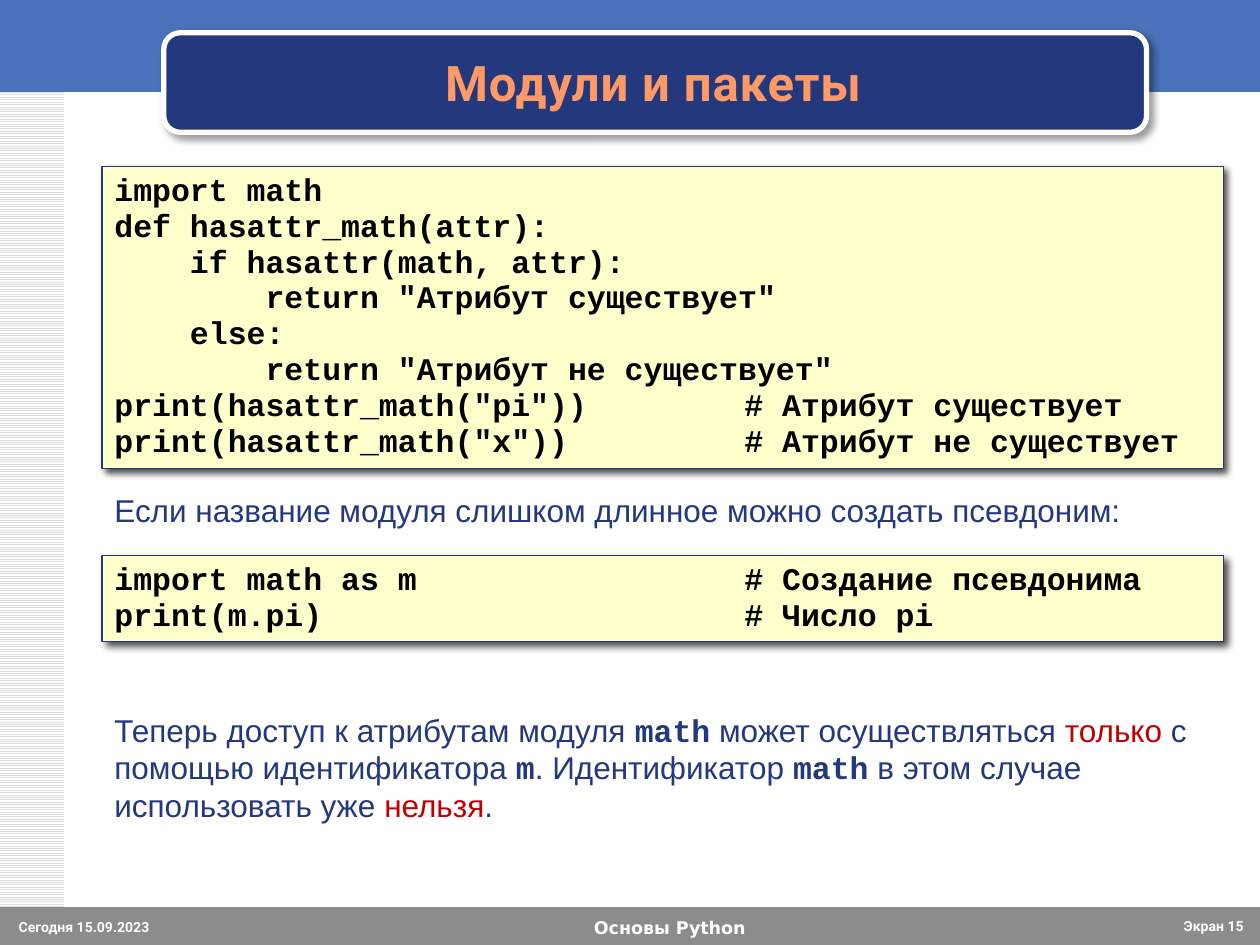
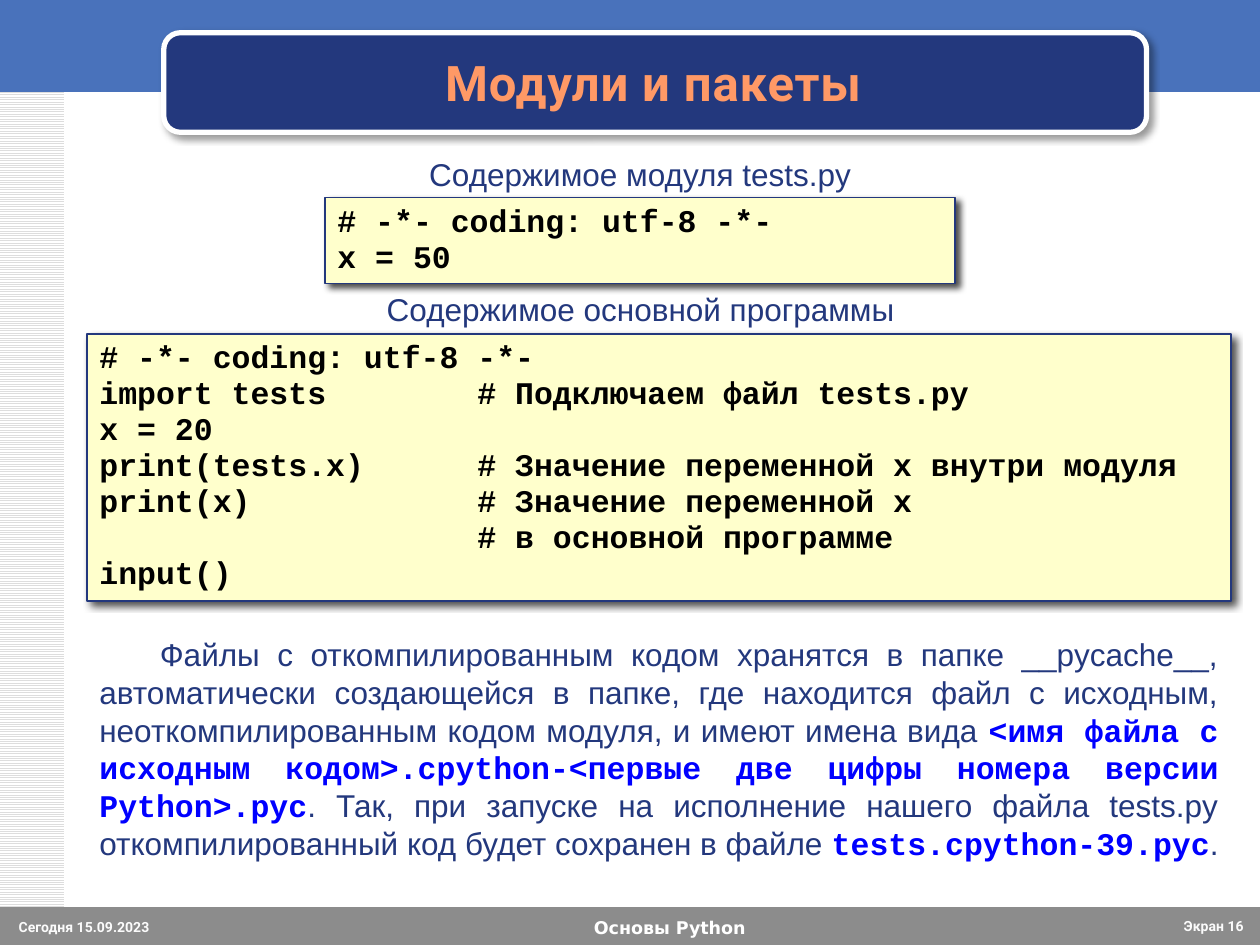
"""Build two lesson slides about Python modules and packages."""
import lxml.etree
import pptx
import pptx.dml.color
import pptx.enum.dml
import pptx.enum.shapes
import pptx.enum.text
import pptx.oxml.ns
import pptx.util

Inches = pptx.util.Inches
Pt = pptx.util.Pt
RGBColor = pptx.dml.color.RGBColor
Shape = pptx.enum.shapes.MSO_SHAPE
Align = pptx.enum.text.PP_ALIGN
Anchor = pptx.enum.text.MSO_ANCHOR
AutoSize = pptx.enum.text.MSO_AUTO_SIZE
qn = pptx.oxml.ns.qn

WHITE = RGBColor(0xFF, 0xFF, 0xFF)
FOOTER_TEXT = RGBColor(0xFB, 0xFB, 0xFB)
BLACK = RGBColor(0x00, 0x00, 0x00)
NAVY = RGBColor(0x23, 0x38, 0x7D)
BLUE = RGBColor(0x49, 0x72, 0xBB)
GRAY = RGBColor(0x8C, 0x8C, 0x8C)
STRIPE = RGBColor(0xDD, 0xDD, 0xDD)
ORANGE = RGBColor(0xFF, 0x99, 0x66)
CREAM = RGBColor(0xFF, 0xFF, 0xCC)
RED = RGBColor(0xC0, 0x00, 0x00)
BRIGHT_BLUE = RGBColor(0x00, 0x00, 0xFF)

BODY_FONT = "Arial"
CODE_FONT = "Courier New"
HEADING_FONT = "Roboto"
FOOTER_FONT = "DejaVu Sans"

PLAIN = (BODY_FONT, NAVY, False)
WARNING = (BODY_FONT, RED, False)
IDENTIFIER = (CODE_FONT, NAVY, True)
FILE_NAME = (CODE_FONT, BRIGHT_BLUE, True)


class Deck:
    """Hold the shared style and the slide being drawn."""

    def __init__(self):
        self.presentation = pptx.Presentation()
        self.presentation.slide_width = Inches(10)
        self.presentation.slide_height = Inches(7.5)
        self.slide = None

    def start_slide(self, title, number):
        self.slide = self.presentation.slides.add_slide(self.presentation.slide_layouts[6])
        side_strip = self.box(0, 0, 0.51, 7.5, WHITE)
        side_strip.fill.patterned()
        side_strip.fill.pattern = pptx.enum.dml.MSO_PATTERN.LIGHT_HORIZONTAL
        side_strip.fill.fore_color.rgb = STRIPE
        side_strip.fill.back_color.rgb = WHITE
        self.box(0, 0, 10, 0.73, BLUE)
        title_plate = self.box(1.3, 0.26, 7.8, 0.79, NAVY, WHITE, 3, Shape.ROUNDED_RECTANGLE)
        self.add_shadow(title_plate, 40)
        self.box(0, 7.2, 10, 0.3, GRAY)
        self.label(2.66, 7.23, 5.31, 0.27, "Основы Python", FOOTER_FONT, 10, WHITE, Align.CENTER)
        self.label(0.05, 7.24, 1.65, 0.26, "Сегодня 15.09.2023", HEADING_FONT, 8, FOOTER_TEXT)
        self.label(9.13, 7.23, 0.84, 0.27, f"Экран {number}", HEADING_FONT, 8, FOOTER_TEXT, Align.RIGHT)
        heading = self.label(1.38, 0.34, 7.61, 0.62, title, HEADING_FONT, 28, ORANGE, Align.CENTER)
        heading.text_frame.vertical_anchor = Anchor.MIDDLE
        run = heading.text_frame.paragraphs[0].runs[0]
        run._r.get_or_add_rPr().set("spc", "50")

    def box(self, left, top, width, height, fill, line=None, line_width=0.75, kind=Shape.RECTANGLE):
        shape = self.slide.shapes.add_shape(
            kind, Inches(left), Inches(top), Inches(width), Inches(height))
        shape.shadow.inherit = False
        shape.fill.solid()
        shape.fill.fore_color.rgb = fill
        if line is None:
            shape.line.fill.background()
        else:
            shape.line.color.rgb = line
            shape.line.width = Pt(line_width)
        return shape

    def add_shadow(self, shape, opacity):
        effects = shape._element.spPr.find(qn("a:effectLst"))
        shadow = lxml.etree.SubElement(
            effects, qn("a:outerShdw"), blurRad=str(Pt(4)), dist=str(Pt(3)),
            dir=str(45 * 60000), algn="tl", rotWithShape="0")
        color = lxml.etree.SubElement(shadow, qn("a:srgbClr"), val=str(BLACK))
        lxml.etree.SubElement(color, qn("a:alpha"), val=str(opacity * 1000))

    def text_box(self, left, top, width, height):
        shape = self.slide.shapes.add_textbox(
            Inches(left), Inches(top), Inches(width), Inches(height))
        shape.text_frame.word_wrap = True
        return shape

    def style_font(self, font, name, color, bold):
        font.name = name
        font.color.rgb = color
        font.bold = bold

    def label(self, left, top, width, height, text, name, size, color, align=Align.LEFT, bold=True):
        shape = self.text_box(left, top, width, height)
        paragraph = shape.text_frame.paragraphs[0]
        paragraph.text = text
        paragraph.alignment = align
        paragraph.font.size = Pt(size)
        self.style_font(paragraph.font, name, color, bold)
        return shape

    def caption(self, left, top, width, text, align=Align.LEFT):
        self.label(left, top, width, 0.4, text, BODY_FONT, 18, NAVY, align, bold=False)

    def code(self, left, top, width, height, source, comment_column=None):
        shape = self.box(left, top, width, height, CREAM, NAVY)
        self.add_shadow(shape, 70)
        frame = shape.text_frame
        frame.word_wrap = True
        frame.auto_size = AutoSize.SHAPE_TO_FIT_TEXT
        frame.vertical_anchor = Anchor.TOP
        for index, line in enumerate(source):
            paragraph = frame.add_paragraph() if index else frame.paragraphs[0]
            paragraph.text = line
            paragraph.alignment = Align.LEFT
            paragraph.line_spacing = 0.95
            if "\t" in line:
                properties = paragraph._p.get_or_add_pPr()
                tabs = lxml.etree.SubElement(properties, qn("a:tabLst"))
                lxml.etree.SubElement(
                    tabs, qn("a:tab"), pos=str(Inches(comment_column)), algn="l")
            paragraph.font.size = Pt(18)
            self.style_font(paragraph.font, CODE_FONT, BLACK, True)

    def rich_text(self, left, top, width, height, parts, align=Align.LEFT, indent=0):
        shape = self.text_box(left, top, width, height)
        shape.text_frame.auto_size = AutoSize.SHAPE_TO_FIT_TEXT
        paragraph = shape.text_frame.paragraphs[0]
        paragraph.alignment = align
        if indent:
            properties = paragraph._p.get_or_add_pPr()
            properties.set("marL", "0")
            properties.set("indent", str(Inches(indent)))
        paragraph.font.size = Pt(18)
        for text, style in parts:
            run = paragraph.add_run()
            run.text = text
            self.style_font(run.font, *style)


def add_alias_slide(deck):
    deck.start_slide("Модули и пакеты", 15)
    deck.code(0.81, 1.32, 8.9, 2.4, [
        "import math",
        "def hasattr_math(attr):",
        "    if hasattr(math, attr):",
        '        return "Атрибут существует"',
        "    else:",
        '        return "Атрибут не существует"',
        'print(hasattr_math("pi"))\t# Атрибут существует',
        'print(hasattr_math("x"))\t# Атрибут не существует',
    ], comment_column=5)
    deck.caption(0.81, 3.85, 8.9, "Если название модуля слишком длинное можно создать псевдоним:")
    deck.code(0.81, 4.41, 8.9, 0.68, [
        "import math as m\t# Создание псевдонима",
        "print(m.pi)\t# Число pi",
    ], comment_column=5)
    deck.rich_text(0.81, 5.59, 8.9, 1.01, [
        ("Теперь доступ к атрибутам модуля ", PLAIN),
        ("math", IDENTIFIER),
        (" может осуществляться ", PLAIN),
        ("только", WARNING),
        (" с помощью идентификатора ", PLAIN),
        ("m", IDENTIFIER),
        (". Идентификатор ", PLAIN),
        ("math", IDENTIFIER),
        (" в этом случае использовать уже ", PLAIN),
        ("нельзя", WARNING),
        (".", PLAIN),
    ])


def add_module_files_slide(deck):
    deck.start_slide("Модули и пакеты", 16)
    deck.caption(3.29, 1.18, 3.58, "Содержимое модуля tests.py", Align.CENTER)
    deck.code(2.58, 1.57, 5, 0.68, ["# -*- coding: utf-8 -*-", "х = 50"])
    deck.caption(2.95, 2.25, 4.27, "Содержимое основной программы", Align.CENTER)
    deck.code(0.69, 2.65, 9.08, 2.12, [
        "# -*- coding: utf-8 -*-",
        "import tests\t# Подключаем файл tests.py",
        "x = 20",
        "print(tests.x)\t# Значение переменной х внутри модуля",
        "print(x)\t# Значение переменной х",
        "\t# в основной программе",
        "input()",
    ], comment_column=3)
    deck.rich_text(0.69, 4.99, 9.08, 1.92, [
        ("Файлы с откомпилированным кодом хранятся в папке __pycache__, автоматически "
         "создающейся в папке, где находится файл с исходным, неоткомпилированным кодом "
         "модуля, и имеют имена вида ", PLAIN),
        ("<имя файла с исходным кодом>.cpython-<первые две цифры номера версии Python>.pyc",
         FILE_NAME),
        (". Так, при запуске на исполнение нашего файла tests.py откомпилированный код "
         "будет сохранен в файле ", PLAIN),
        ("tests.cpython-39.pyc", FILE_NAME),
        (".", PLAIN),
    ], Align.JUSTIFY, indent=0.48)


def main():
    deck = Deck()
    add_alias_slide(deck)
    add_module_files_slide(deck)
    deck.presentation.save("out.pptx")


if __name__ == "__main__":
    main()
